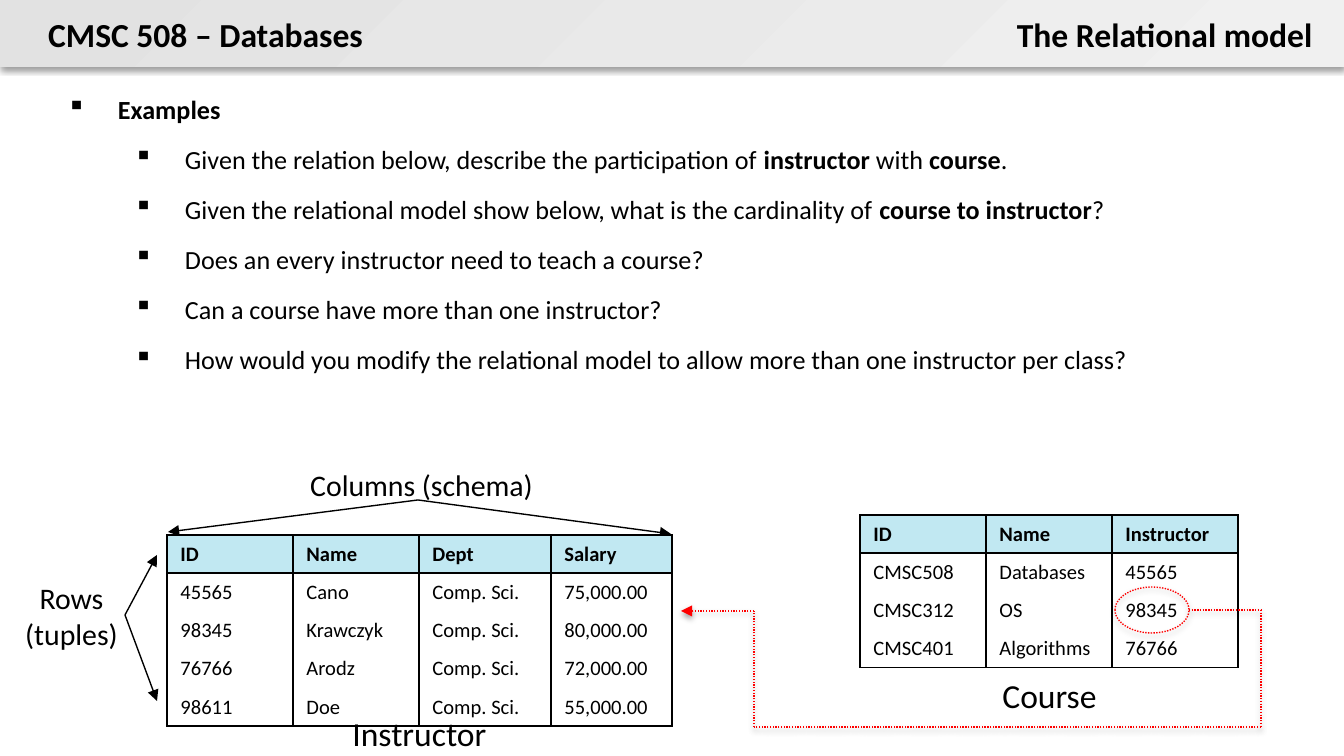
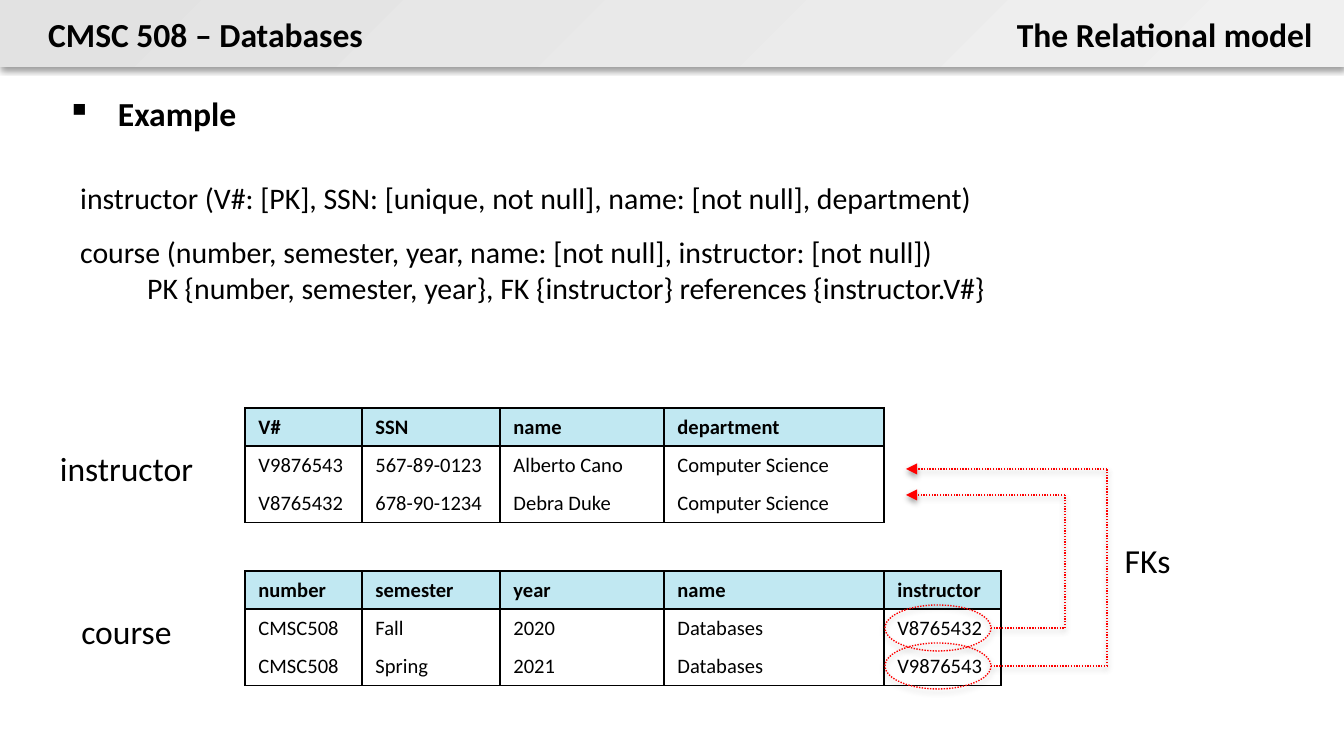
from itertools import pairwise

from lxml import etree
from pptx import Presentation
from pptx.dml.color import RGBColor
from pptx.enum.dml import MSO_LINE
from pptx.enum.shapes import MSO_CONNECTOR, MSO_SHAPE
from pptx.enum.text import MSO_AUTO_SIZE, PP_ALIGN
from pptx.oxml.ns import qn
from pptx.util import Emu, Pt

SLIDE_W, SLIDE_H = 1344, 756
SCALE = 9144000 / SLIDE_W
FONT = "Calibri"
COLORS = {
    "ink": "000000",
    "paper": "FFFFFF",
    "head": "C1E8F2",
    "key": "FF0000",
    "band_start": "E2E2E2",
    "band_end": "F0F0F0",
}
LEFT, CENTER, RIGHT = PP_ALIGN.LEFT, PP_ALIGN.CENTER, PP_ALIGN.RIGHT
RECT, OVAL = MSO_SHAPE.RECTANGLE, MSO_SHAPE.OVAL
STRAIGHT, DOTTED = MSO_CONNECTOR.STRAIGHT, MSO_LINE.ROUND_DOT
GROW = MSO_AUTO_SIZE.SHAPE_TO_FIT_TEXT
ROW_H = 38
HANG = 51
LEVEL_STEP = 67


def px(value):
    return Emu(round(value * SCALE))


def color(name):
    return RGBColor.from_string(COLORS[name])


def add_xml(parent, tag, **attributes):
    return etree.SubElement(parent, qn(tag), attributes)


# Shared styling
def style_font(paragraph, size, bold=False):
    font = paragraph.font
    font.name, font.size, font.bold = FONT, Pt(size), bold
    font.color.rgb = color("ink")


def style_line(line, name, dotted=False):
    line.color.rgb = color(name)
    line.width = Pt(0.75)
    if dotted:
        line.dash_style = DOTTED


def cast_shadow(effects, opacity=38):
    shadow = add_xml(effects, "a:outerShdw", blurRad=str(Pt(3.1)), dist=str(Pt(1.6)),
                     dir="5400000", rotWithShape="0")
    tint = add_xml(shadow, "a:srgbClr", val=COLORS["ink"])
    add_xml(tint, "a:alpha", val=str(opacity * 1000))


def shadow_shape(shape, opacity=38):
    shape.shadow.inherit = False
    cast_shadow(shape._element.spPr.find(qn("a:effectLst")), opacity)


def indent(paragraph, margin, hang):
    props = paragraph._p.get_or_add_pPr()
    props.set("marL", str(px(margin)))
    props.set("indent", str(-px(hang)))
    return props


# Text
def add_text(slide, frame, lines, size, align=LEFT, bold=False, wrap=True):
    box = slide.shapes.add_textbox(*map(px, frame)).text_frame
    box.word_wrap, box.auto_size = wrap, GROW
    box.text = "\n".join(lines)
    for paragraph in box.paragraphs:
        paragraph.alignment = align
        style_font(paragraph, size, bold)
    return box


def add_bullets(slide, height, size, heading, questions=()):
    """Bold heading, then second-level bullets whose *starred* words are bold."""
    body = slide.shapes.add_textbox(0, px(66), px(SLIDE_W), px(height)).text_frame
    body.word_wrap, body.auto_size = True, GROW
    body.margin_left = body.margin_right = px(67)
    body.margin_top, body.margin_bottom = px(27), 0
    for i, text in enumerate([heading, *questions]):
        paragraph = body.add_paragraph() if i else body.paragraphs[0]
        paragraph.level = min(i, 1)
        paragraph.space_after = Pt(10)
        props = indent(paragraph, HANG + LEVEL_STEP * paragraph.level, HANG)
        add_xml(props, "a:buChar", char="▪")
        style_font(paragraph, size, bold=i == 0)
        for n, part in enumerate(text.split("*")):
            run = paragraph.add_run()
            run.text = part
            if n % 2:
                run.font.bold = True


# Tables
def add_border(cell, side, shown):
    edge = add_xml(cell._tc.get_or_add_tcPr(), f"a:ln{side}", w=str(Pt(1)))
    if shown:
        add_xml(add_xml(edge, "a:solidFill"), "a:srgbClr", val=COLORS["ink"])
    else:
        add_xml(edge, "a:noFill")


def add_relation(slide, left, top, widths, rows):
    table = slide.shapes.add_table(len(rows), len(widths), px(left), px(top),
                                   px(sum(widths)), px(ROW_H * len(rows))).table
    table.first_row = table.horz_banding = False
    for column, width in zip(table.columns, widths):
        column.width = px(width)
    for r, values in enumerate(rows):
        table.rows[r].height = px(ROW_H)
        shown = {"L": True, "R": True, "T": r <= 1, "B": r in (0, len(rows) - 1)}
        for c, value in enumerate(values):
            cell = table.cell(r, c)
            for side in shown:
                add_border(cell, side, shown[side])
            cell.fill.solid()
            cell.fill.fore_color.rgb = color("paper" if r else "head")
            cell.text = value
            style_font(cell.text_frame.paragraphs[0], 11, bold=r == 0)


# Lines and key marks
def add_line(slide, start, end, name="ink", arrow=True, key=False):
    connector = slide.shapes.add_connector(STRAIGHT, *map(px, (*start, *end)))
    style_line(connector.line, name, dotted=key)
    if arrow:
        add_xml(connector.line._get_or_add_ln(), "a:tailEnd", type="triangle")
    effects = add_xml(connector._element.spPr, "a:effectLst")
    if key:
        cast_shadow(effects)


def add_key_route(slide, points):
    for start, end in pairwise(points):
        add_line(slide, start, end, "key", arrow=end == points[-1], key=True)


def add_key_ring(slide, left, top, width):
    ring = slide.shapes.add_shape(OVAL, *map(px, (left, top, width, 46)))
    ring.fill.background()
    style_line(ring.line, "key", dotted=True)
    shadow_shape(ring, 35)


# Slide base
def add_slide(deck):
    slide = deck.slides.add_slide(deck.slide_layouts[6])
    band = slide.shapes.add_shape(RECT, 0, 0, px(SLIDE_W), px(67))
    band.fill.gradient()
    band.fill.gradient_angle = 315
    for stop, name in zip(band.fill.gradient_stops, ("band_start", "band_end")):
        stop.color.rgb = color(name)
    band.line.fill.background()
    shadow_shape(band)
    add_text(slide, (35, 7, 345, 54), ["CMSC 508 – Databases"], 18, bold=True, wrap=False)
    add_text(slide, (1001, 7, 325, 54), ["The Relational model"], 18, RIGHT, True, wrap=False)
    return slide


def build_questions(deck):
    slide = add_slide(deck)
    add_bullets(slide, 312, 14, "Examples", [
        "Given the relation below, describe the participation of *instructor* with *course*.",
        "Given the relational model show below, what is the cardinality of "
        "*course to instructor*?",
        "Does an every instructor need to teach a course?",
        "Can a course have more than one instructor?",
        "How would you modify the relational model to allow more than one instructor per class?",
    ])

    # Instructor relation with its columns and rows pointed out
    add_text(slide, (297, 460, 253, 50), ["Columns (schema)"], 16, wrap=False)
    for corner in ((671, 534), (168, 532)):
        add_line(slide, (418, 500), corner)
    add_text(slide, (3, 573, 137, 86), ["Rows", "(tuples)"], 16, CENTER)
    for row_end in ((157, 555), (157, 701)):
        add_line(slide, (125, 615), row_end)
    add_relation(slide, 167, 535, (126, 126, 132, 121), [
        ("ID", "Name", "Dept", "Salary"),
        ("45565", "Cano", "Comp. Sci.", "75,000.00"),
        ("98345", "Krawczyk", "Comp. Sci.", "80,000.00"),
        ("76766", "Arodz", "Comp. Sci.", "72,000.00"),
        ("98611", "Doe", "Comp. Sci.", "55,000.00"),
    ])
    add_text(slide, (293, 706, 253, 54), ["Instructor"], 18, CENTER)

    # Course relation and its foreign key
    add_relation(slide, 860, 515, (126, 126, 126), [
        ("ID", "Name", "Instructor"),
        ("CMSC508", "Databases", "45565"),
        ("CMSC312", "OS", "98345"),
        ("CMSC401", "Algorithms", "76766"),
    ])
    add_text(slide, (923, 668, 253, 54), ["Course"], 18, CENTER)
    add_key_ring(slide, 1115, 587, 74)
    add_key_route(slide, [(1189, 610), (1261, 610), (1261, 727),
                          (754, 727), (754, 611), (681, 611)])


def build_schema(deck):
    slide = add_slide(deck)
    add_bullets(slide, 187, 18, "Example")
    schema = add_text(slide, (67, 173, 1241, 196), [
        "instructor (V#: [PK], SSN: [unique, not null], name: [not null], department)",
        "course (number, semester, year, name: [not null], instructor: [not null])\v"
        "PK {number, semester, year}, FK {instructor} references {instructor.V#}",
    ], 16)
    for paragraph in schema.paragraphs:
        paragraph.space_after = Pt(10)
        indent(paragraph, LEVEL_STEP, LEVEL_STEP)

    # Relations
    widths = (117, 138, 164, 220)
    add_relation(slide, 245, 408, widths, [
        ("V#", "SSN", "name", "department"),
        ("V9876543", "567-89-0123", "Alberto Cano", "Computer Science"),
        ("V8765432", "678-90-1234", "Debra Duke", "Computer Science"),
    ])
    add_relation(slide, 245, 571, (*widths, 117), [
        ("number", "semester", "year", "name", "instructor"),
        ("CMSC508", "Fall", "2020", "Databases", "V8765432"),
        ("CMSC508", "Spring", "2021", "Databases", "V9876543"),
    ])
    for left, top, label in ((0, 441, "instructor"), (0, 604, "course"), (1021, 533, "FKs")):
        add_text(slide, (left, top, 253, 54), [label], 18, CENTER)

    # Foreign keys: course row, turning point, instructor row
    for course_y, turn_x, instructor_y in ((628, 1065, 495), (666, 1107, 469)):
        add_key_ring(slide, 885, course_y - 23, 106)
        add_key_route(slide, [(991, course_y), (turn_x, course_y),
                              (turn_x, instructor_y), (906, instructor_y)])


def main():
    deck = Presentation()
    deck.slide_width, deck.slide_height = px(SLIDE_W), px(SLIDE_H)
    build_questions(deck)
    build_schema(deck)
    deck.save("out.pptx")


if __name__ == "__main__":
    main()
